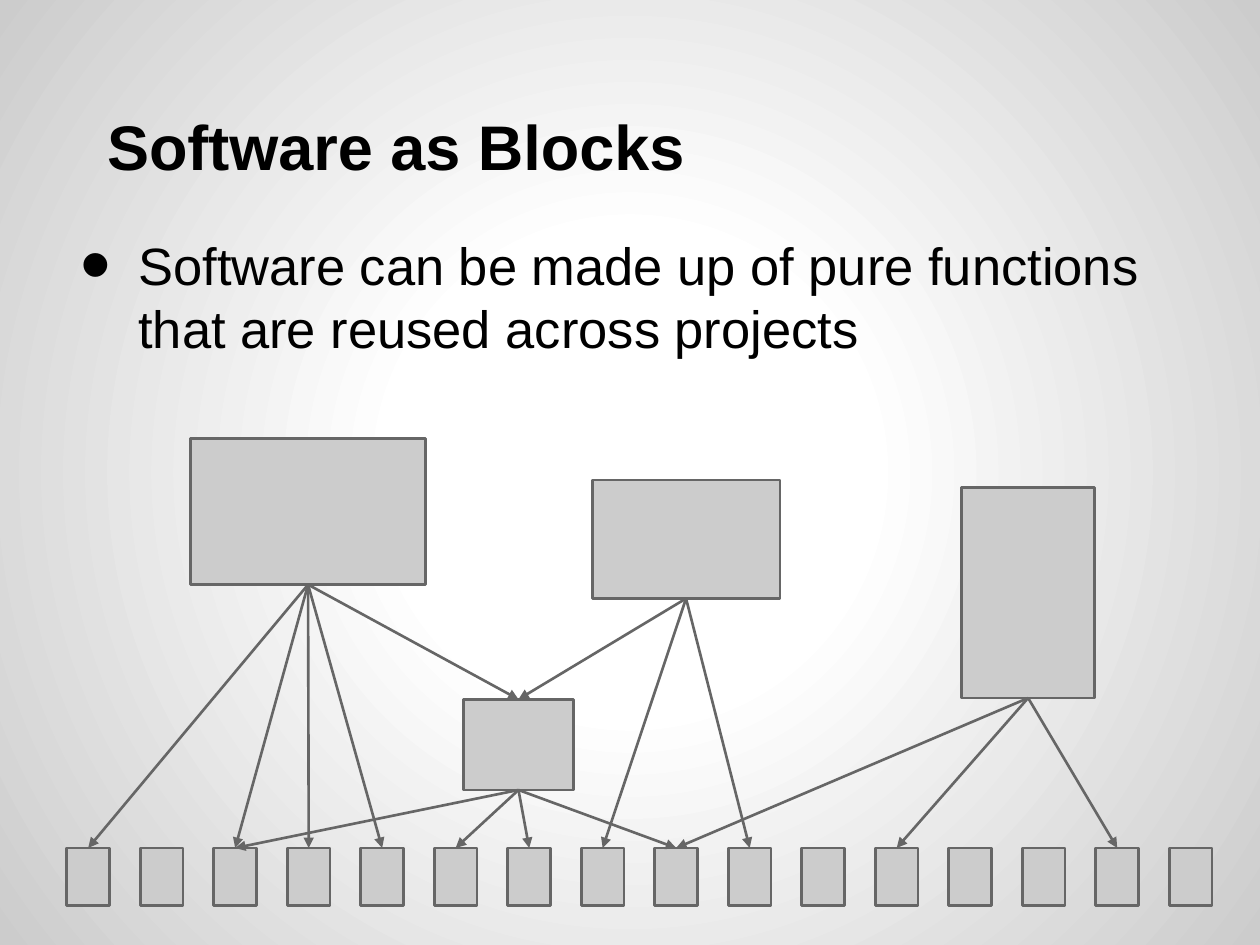
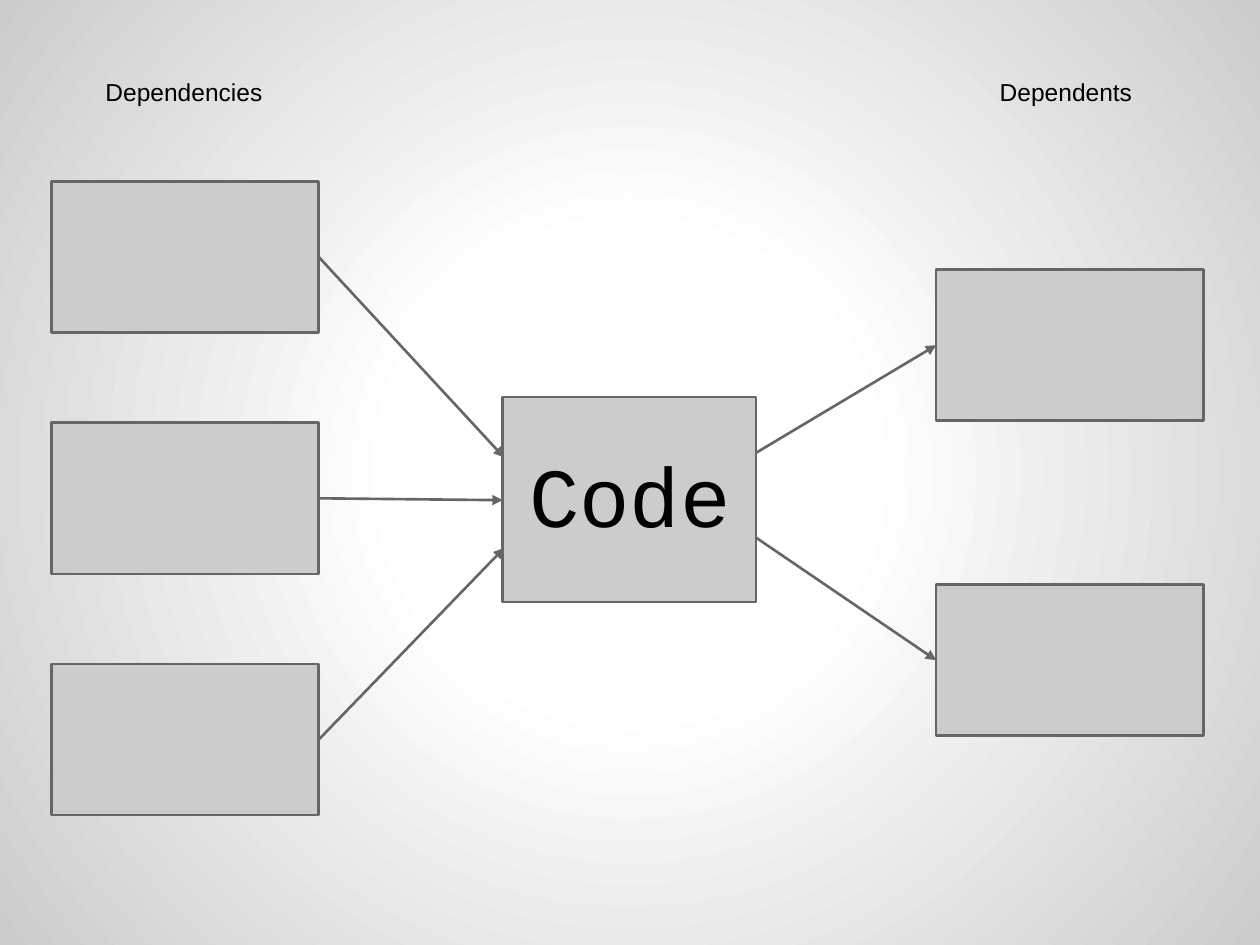
from dataclasses import dataclass

from lxml import etree
from pptx import Presentation
from pptx import util as u
from pptx.dml.color import RGBColor
from pptx.enum import shapes, text
from pptx.oxml import parse_xml
from pptx.oxml.ns import nsdecls, qn


@dataclass(frozen=True)
class Theme:
    fill: str = "CCCCCC"
    line: str = "666666"
    ink: str = "000000"
    glow: str = "FFFFFF"
    font: str = "Arial"
    mono: str = "Courier New"
    title: int = 36
    body: int = 30
    label: int = 14
    code: int = 48
    stroke: float = 1.5


theme = Theme()
prs = Presentation()
prs.slide_width, prs.slide_height = u.Inches(10), u.Inches(7.5)
col, row = prs.slide_width / 100, prs.slide_height / 75

bg = prs.slide_master.background.fill
bg.solid()
bg_pr = prs.slide_master.element.find(".//" + qn("p:bgPr"))
bg_pr.replace(bg_pr[0], parse_xml(
    f'<a:gradFill {nsdecls("a")} rotWithShape="1"><a:gsLst>'
    f'<a:gs pos="0"><a:srgbClr val="{theme.glow}"/></a:gs>'
    f'<a:gs pos="30000"><a:srgbClr val="{theme.glow}"/></a:gs>'
    f'<a:gs pos="100000"><a:srgbClr val="{theme.fill}"/></a:gs></a:gsLst>'
    '<a:path path="circle"><a:fillToRect l="50000" t="50000" r="50000" b="50000"/></a:path>'
    '</a:gradFill>'))


def block(s, x, y, w, h):
    sp = s.shapes.add_shape(shapes.MSO_SHAPE.RECTANGLE,
                            int(x * col), int(y * row), int(w * col), int(h * row))
    sp.shadow.inherit = False
    sp.fill.solid()
    sp.fill.fore_color.rgb = RGBColor.from_string(theme.fill)
    sp.line.color.rgb = RGBColor.from_string(theme.line)
    sp.line.width = u.Pt(theme.stroke)


def arrow(s, x1, y1, x2, y2):
    c = s.shapes.add_connector(shapes.MSO_CONNECTOR.STRAIGHT,
                               int(x1 * col), int(y1 * row), int(x2 * col), int(y2 * row))
    c.line.color.rgb = RGBColor.from_string(theme.line)
    c.line.width = u.Pt(theme.stroke)
    etree.SubElement(c.line._get_or_add_ln(), qn("a:tailEnd"), type="triangle")
    etree.SubElement(c._element.spPr, qn("a:effectLst"))


s = prs.slides.add_slide(prs.slide_layouts[5])
title = s.shapes.title
body = s.shapes.add_textbox(0, 0, 0, 0)
for sp, words, size, box, anchor in (
    (title, "Software as Blocks", theme.title, (5, 3, 90, 12.5), text.MSO_ANCHOR.BOTTOM),
    (body, "Software can be made up of pure functions that are reused across projects",
     theme.body, (5, 17.5, 90, 54.3), text.MSO_ANCHOR.TOP),
):
    x, y, w, h = box
    sp.left, sp.top, sp.width, sp.height = int(x * col), int(y * row), int(w * col), int(h * row)
    tf = sp.text_frame
    tf.text = words
    tf.word_wrap = True
    tf.auto_size = text.MSO_AUTO_SIZE.NONE
    tf.vertical_anchor = anchor
    tf.margin_left = tf.margin_right = tf.margin_top = tf.margin_bottom = u.Inches(0.1)
    p = tf.paragraphs[0]
    p.alignment = text.PP_ALIGN.LEFT
    f = p.runs[0].font
    f.name, f.size, f.bold = theme.font, u.Pt(size), sp is title
    f.color.rgb = RGBColor.from_string(theme.ink)

title.text_frame.paragraphs[0]._p.get_or_add_pPr().set("indent", str(u.Inches(0.25)))
p = body.text_frame.paragraphs[0]
p.space_before = u.Pt(6)
p_pr = p._p.get_or_add_pPr()
p_pr.set("marL", str(u.Inches(0.5)))
p_pr.set("indent", str(u.Inches(-0.46)))
bu_clr = etree.SubElement(p_pr, qn("a:buClr"))
etree.SubElement(bu_clr, qn("a:srgbClr"), val=theme.ink)
etree.SubElement(p_pr, qn("a:buSzPct"), val="167000")
etree.SubElement(p_pr, qn("a:buFont"), typeface=theme.font)
etree.SubElement(p_pr, qn("a:buChar"), char="•")

count, first, last, top, width = 16, 5.3, 92.8, 67.3, 3.4
lefts = [first + i * (last - first) / (count - 1) for i in range(count)]
for x in lefts:
    block(s, x, top, width, 4.6)

shared = (36.8, 55.5, 8.7, 7.2)
projects = (
    ((15.1, 34.8, 18.7, 11.6), (0, 2, 3, 4), True),
    ((47, 38.1, 14.9, 9.4), (7, 9), True),
    ((76.3, 38.7, 10.6, 16.7), (8, 11, 14), False),
    (shared, (2, 5, 6, 8), False),
)
for (x, y, w, h), targets, uses_shared in projects:
    block(s, x, y, w, h)
    for i in targets:
        arrow(s, x + w / 2, y + h, lefts[i] + width / 2, top)
    if uses_shared:
        arrow(s, x + w / 2, y + h, shared[0] + shared[2] / 2, shared[1])

s = prs.slides.add_slide(prs.slide_layouts[6])
w, h = 21.2, 12
code_left, code_right = 39.9, 60
left, right = 4.1, 74.3
for i, (end_x, end_y) in enumerate(((40, 36.3), (code_left, 39.7), (40, 43.5))):
    y = 14.4 + i * 19.15
    block(s, left, y, w, h)
    arrow(s, left + w, y + h / 2, end_x, end_y)
for i, (start_x, start_y) in enumerate(((59.4, 36.3), (59.9, 42.6))):
    y = 21.4 + i * 25
    block(s, right, y, w, h)
    arrow(s, start_x, start_y, right, y + h / 2)
block(s, code_left, 31.5, code_right - code_left, 16.3)

for words, font, size, (x, y, w, h) in (
    ("Dependencies", theme.font, theme.label, (2, 5.1, 25.2, 5)),
    ("Dependents", theme.font, theme.label, (72, 5.1, 25.2, 5)),
    ("Code", theme.mono, theme.code, (40.7, 34.2, 18.6, 11.2)),
):
    sp = s.shapes.add_textbox(int(x * col), int(y * row), int(w * col), int(h * row))
    tf = sp.text_frame
    tf.text = words
    tf.word_wrap = True
    tf.margin_left = tf.margin_right = tf.margin_top = tf.margin_bottom = u.Inches(0.1)
    p = tf.paragraphs[0]
    p.alignment = text.PP_ALIGN.CENTER
    f = p.runs[0].font
    f.name, f.size = font, u.Pt(size)
    f.color.rgb = RGBColor.from_string(theme.ink)

prs.save("out.pptx")
